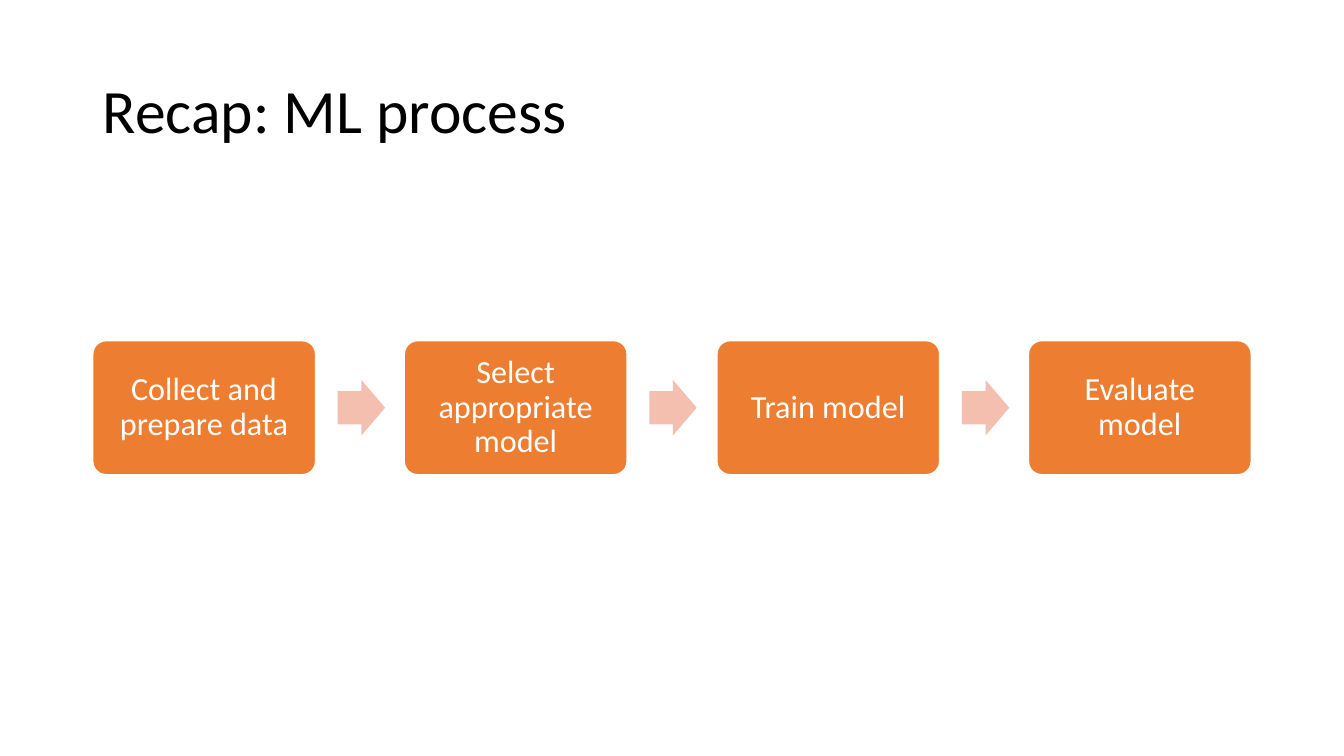
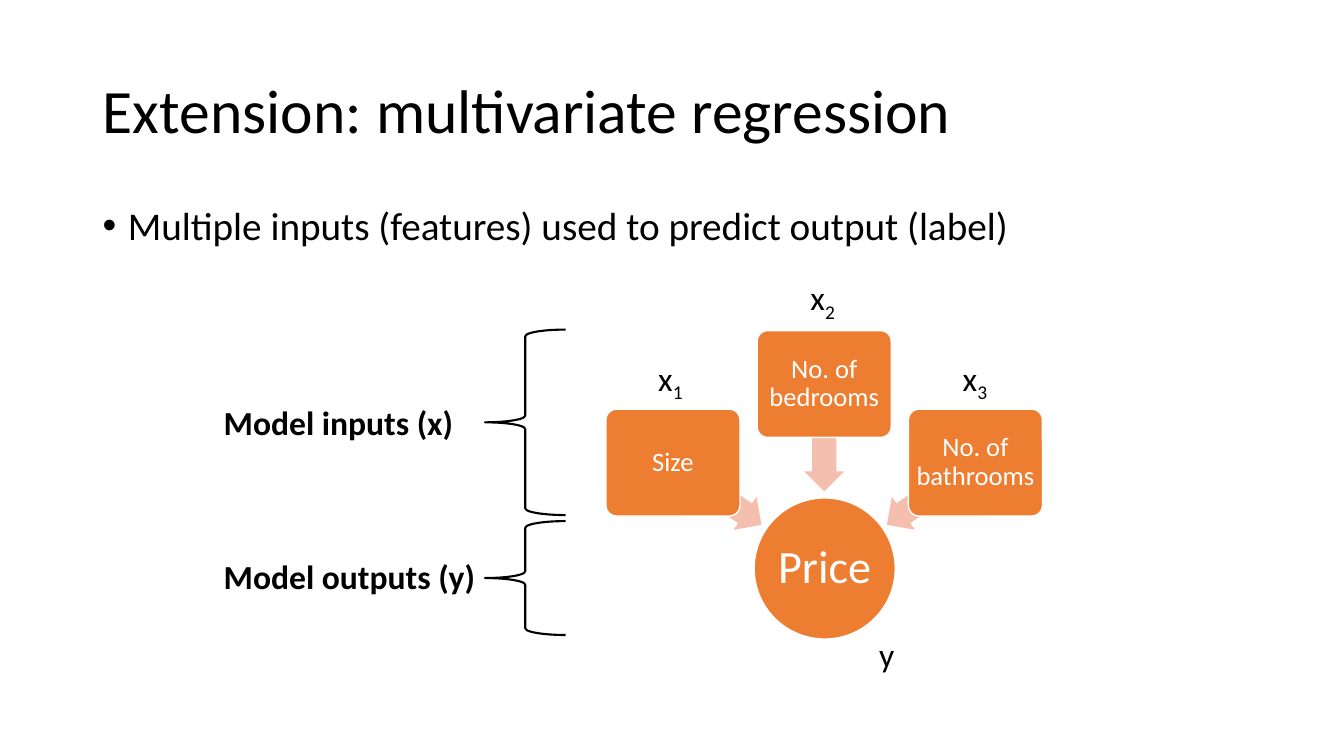
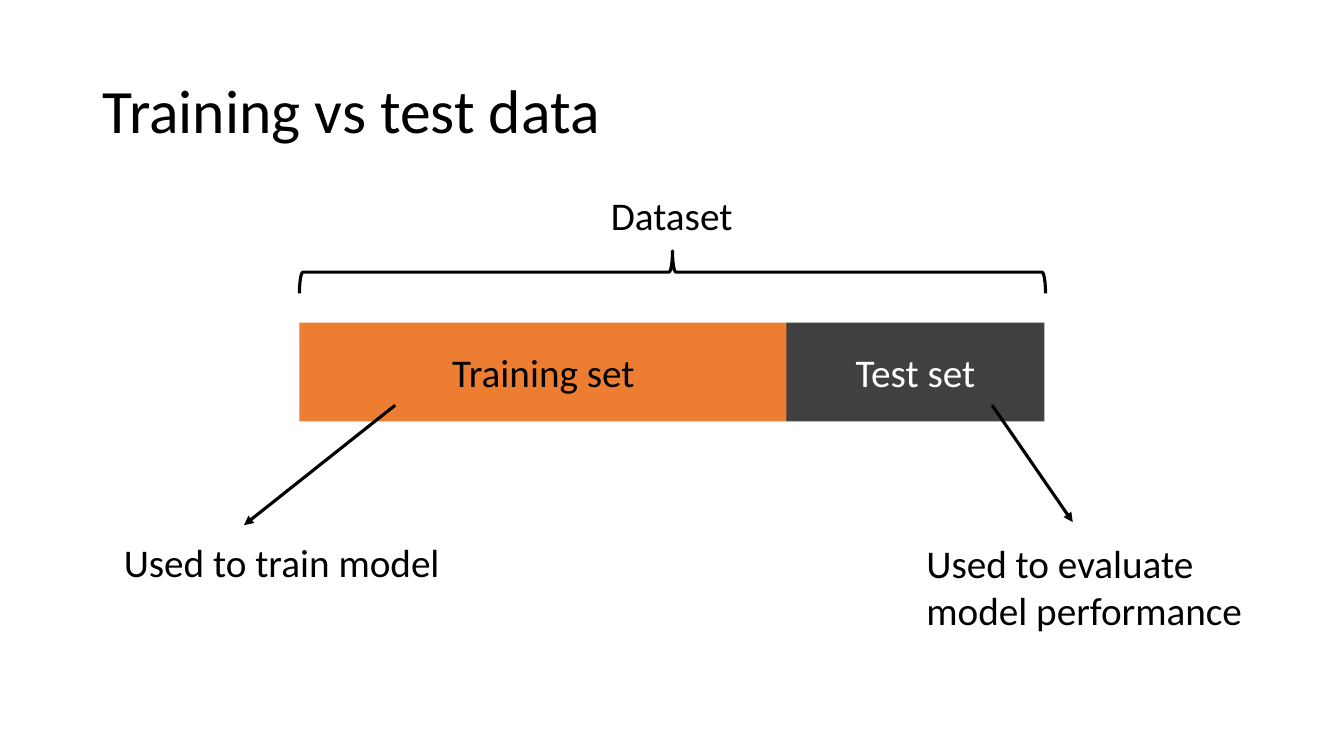
from lxml.etree import SubElement
from pptx import Presentation
from pptx.dml.color import RGBColor
from pptx.enum.shapes import MSO_CONNECTOR, MSO_SHAPE
from pptx.enum.text import MSO_ANCHOR, MSO_AUTO_SIZE, PP_ALIGN
from pptx.oxml.ns import qn
from pptx.util import Emu, Pt

EMU_PER_PX = 9144
FONT = "Calibri"
BLACK = "000000"
WHITE = "FFFFFF"
ORANGE = "ED7D31"
PEACH = "F4BFAE"
CHARCOAL = "404040"

TITLE_BOX = (92, 40, 1150, 145)
TITLE_FORMAT = {"alignment": PP_ALIGN.LEFT, "line_spacing": 0.9}
BULLET_FORMAT = {"line_spacing": 0.9, "space_before": Pt(10)}
NODE_FORMAT = {"alignment": PP_ALIGN.CENTER, "line_spacing": 0.9}
BAR_FORMAT = {"alignment": PP_ALIGN.CENTER}


def px(*lengths):
    return [Emu(length * EMU_PER_PX) for length in lengths]


def rgb(value):
    return RGBColor.from_string(value)


def apply(target, values):
    for name, value in values.items():
        setattr(target, name, value)


def write(frame, text, size, color=BLACK, bold=False, layout=None, subscript=""):
    paragraph = frame.paragraphs[0]
    apply(paragraph, layout or {})
    for part in filter(None, (text, subscript)):
        run = paragraph.add_run()
        run.text = part
        apply(run.font, {"name": FONT, "size": Pt(size), "bold": bold})
        run.font.color.rgb = rgb(color)
    if subscript:
        run.font.size = Pt(size)
        run._r.get_or_add_rPr().set("baseline", "-25000")
    return paragraph


def titled_slide(deck, text):
    slide = deck.slides.add_slide(deck.slide_layouts[5])
    title = slide.shapes.title
    apply(title, dict(zip(("left", "top", "width", "height"), px(*TITLE_BOX))))
    apply(title.text_frame, {"vertical_anchor": MSO_ANCHOR.MIDDLE,
                             "auto_size": MSO_AUTO_SIZE.NONE})
    write(title.text_frame, text, 44, layout=TITLE_FORMAT)
    return slide


def add_label(slide, box, text, size, wrap=False, bold=False, subscript=""):
    frame = slide.shapes.add_textbox(*px(*box)).text_frame
    apply(frame, {"word_wrap": wrap, "auto_size": MSO_AUTO_SIZE.SHAPE_TO_FIT_TEXT})
    write(frame, text, size, bold=bold, subscript=subscript)


def add_bullet(slide, box, text):
    frame = slide.shapes.add_textbox(*px(*box)).text_frame
    frame.word_wrap = True
    properties = write(frame, text, 28, layout=BULLET_FORMAT)._p.get_or_add_pPr()
    indent = px(25)[0]
    properties.set("marL", str(indent))
    properties.set("indent", str(-indent))
    SubElement(properties, qn("a:buFont")).set("typeface", "Arial")
    SubElement(properties, qn("a:buChar")).set("char", "•")


def add_solid(slide, preset, box, fill, adjustments=(), rotation=0):
    solid = slide.shapes.add_shape(preset, *px(*box))
    solid.shadow.inherit = False
    solid.fill.solid()
    solid.fill.fore_color.rgb = rgb(fill)
    solid.line.fill.background()
    solid.rotation = rotation
    for index, value in enumerate(adjustments):
        solid.adjustments[index] = value
    return solid


def add_node(slide, preset, box, text, size, inset, adjustments=()):
    node = add_solid(slide, preset, box, ORANGE, adjustments)
    node.line.color.rgb = rgb(WHITE)
    node.line.width = Pt(1)
    margins = ("margin_left", "margin_top", "margin_right", "margin_bottom")
    apply(node.text_frame, dict(zip(margins, px(*[inset] * 4))))
    apply(node.text_frame, {"word_wrap": True, "vertical_anchor": MSO_ANCHOR.MIDDLE})
    write(node.text_frame, text, size, WHITE, layout=NODE_FORMAT)


def add_bar(slide, box, text, fill, color):
    bar = add_solid(slide, MSO_SHAPE.RECTANGLE, box, fill)
    apply(bar.text_frame, {"word_wrap": True, "vertical_anchor": MSO_ANCHOR.MIDDLE})
    write(bar.text_frame, text, 28, color, layout=BAR_FORMAT)


def add_brace(slide, preset, box, weight, rotation=0):
    brace = slide.shapes.add_shape(preset, *px(*box))
    brace.shadow.inherit = False
    brace.fill.background()
    brace.line.color.rgb = rgb(BLACK)
    brace.line.width = Pt(weight)
    brace.rotation = rotation


def add_arrow(slide, start, end):
    arrow = slide.shapes.add_connector(MSO_CONNECTOR.STRAIGHT, *px(*start, *end))
    arrow.line.color.rgb = rgb(BLACK)
    arrow.line.width = Pt(2.25)
    SubElement(arrow.line._get_or_add_ln(), qn("a:tailEnd")).set("type", "triangle")
    SubElement(arrow._element.spPr, qn("a:effectLst"))


def build_process(deck):
    slide = titled_slide(deck, "Recap: ML process")
    steps = ("Collect and prepare data", "Select appropriate model",
             "Train model", "Evaluate model")
    for index, step in enumerate(steps):
        left = round(92 + index * 309.4)
        add_node(slide, MSO_SHAPE.ROUNDED_RECTANGLE, (left, 338, 221, 133),
                 step, 23, 10, (0.1,))
        if index < len(steps) - 1:
            add_solid(slide, MSO_SHAPE.RIGHT_ARROW, (left + 243, 377, 47, 55),
                      PEACH, (0.6, 0.5))


def build_regression(deck):
    slide = titled_slide(deck, "Extension: multivariate regression")
    add_bullet(slide, (92, 200, 1150, 476),
               "Multiple inputs (features) used to predict output (label)")
    add_node(slide, MSO_SHAPE.OVAL, (748, 494, 140, 140), "Price", 33, 2)
    features = (("Size", 406, 470, 350),
                ("No. of bedrooms", 328, 414, 270),
                ("No. of bathrooms", 406, 470, 350))
    for index, (feature, top, arrow_top, label_top) in enumerate(features):
        add_solid(slide, MSO_SHAPE.LEFT_ARROW, (658 + 106 * index, arrow_top, 107, 40),
                  PEACH, (0.6, 0.5), 215 + 55 * index)
        add_node(slide, MSO_SHAPE.ROUNDED_RECTANGLE, (601 + 150 * index, top, 133, 106),
                 feature, 19, 4, (0.1,))
        add_label(slide, (643 + 151 * index, label_top, 47, 50), "x", 24,
                  subscript=str(index + 1))
    add_label(slide, (862, 624, 35, 50), "y", 24)
    groups = (("Model inputs (x)", 394, 250, 327, 184),
              ("Model outputs (y)", 547, 272, 517, 113))
    for group, top, width, brace_top, brace_height in groups:
        add_brace(slide, MSO_SHAPE.LEFT_BRACE, (481, brace_top, 80, brace_height), 1.5)
        add_label(slide, (212, top, width, 50), group, 24, bold=True)


def build_split(deck):
    slide = titled_slide(deck, "Training vs test data")
    add_bar(slide, (297, 320, 484, 98), "Training set", ORANGE, BLACK)
    add_bar(slide, (780, 320, 256, 98), "Test set", CHARCOAL, WHITE)
    add_brace(slide, MSO_SHAPE.RIGHT_BRACE, (646, -100, 42, 740), 2.25, 270)
    add_label(slide, (596, 185, 142, 57), "Dataset", 28)
    add_arrow(slide, (392, 402), (242, 521))
    add_arrow(slide, (984, 402), (1064, 518))
    add_label(slide, (113, 529, 337, 57), "Used to train model", 28)
    add_label(slide, (909, 530, 337, 104), "Used to evaluate model performance", 28,
              wrap=True)


def main():
    deck = Presentation()
    deck.slide_width, deck.slide_height = px(1333, 750)
    build_process(deck)
    build_regression(deck)
    build_split(deck)
    deck.save("out.pptx")


if __name__ == "__main__":
    main()
